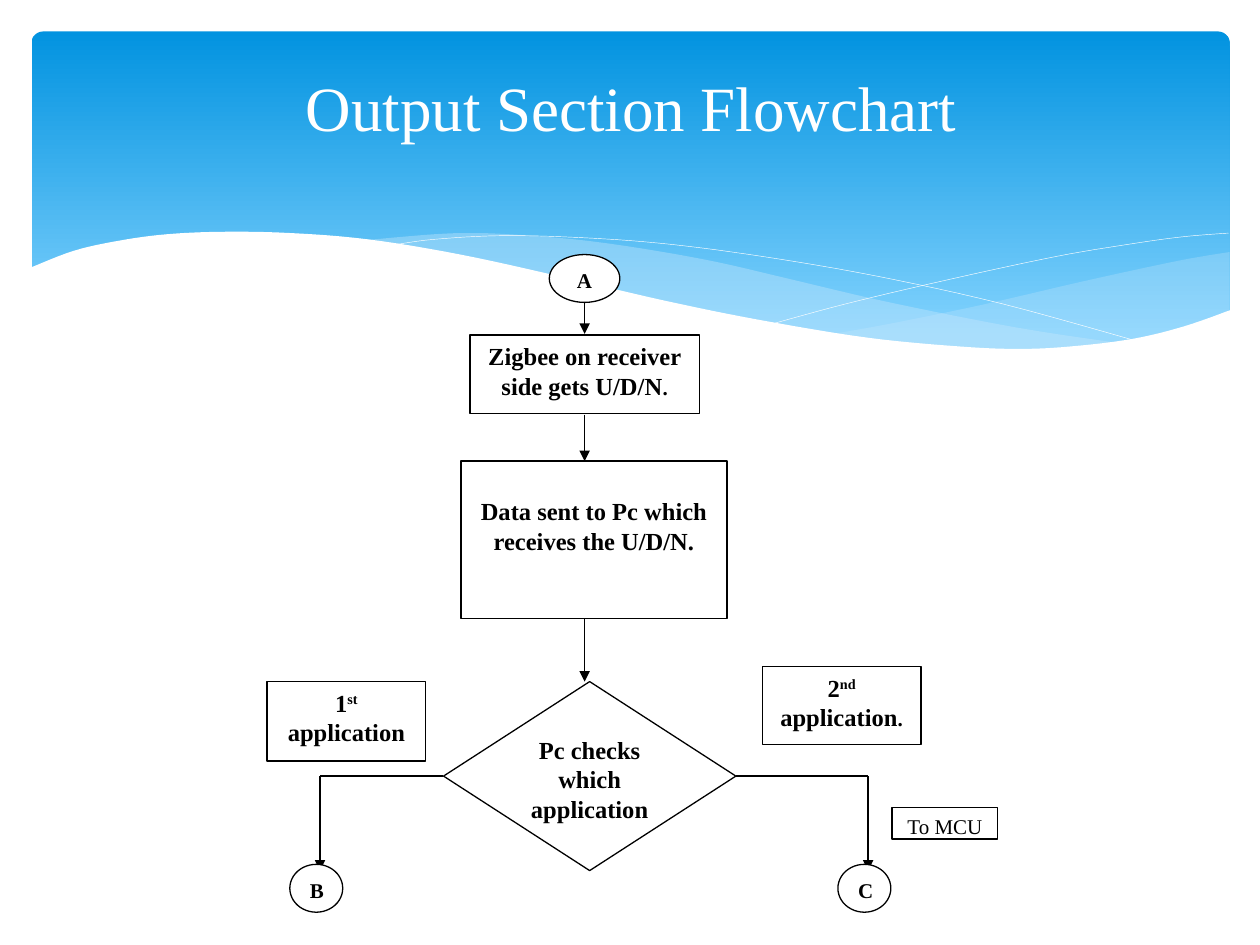
from lxml import etree
from pptx import Presentation
from pptx.dml.color import RGBColor
from pptx.enum.shapes import MSO_CONNECTOR, MSO_SHAPE
from pptx.enum.text import MSO_ANCHOR, PP_ALIGN
from pptx.oxml.ns import qn
from pptx.util import Inches, Pt

BLACK = RGBColor(0x00, 0x00, 0x00)
WHITE = RGBColor(0xFF, 0xFF, 0xFF)
SKY_TOP = RGBColor(0x02, 0x93, 0xE0)
SKY_BOTTOM = RGBColor(0x83, 0xD3, 0xFE)
PALE_BLUE = RGBColor(0xC6, 0xE7, 0xFC)
FONT = "Times New Roman"
STROKE = Pt(0.75)
HAIRLINE = Pt(0.25)

RECT = MSO_SHAPE.RECTANGLE
OVAL = MSO_SHAPE.OVAL
PROCESS = MSO_SHAPE.FLOWCHART_PROCESS
DECISION = MSO_SHAPE.FLOWCHART_DECISION
ROUNDED = MSO_SHAPE.ROUNDED_RECTANGLE
STRAIGHT = MSO_CONNECTOR.STRAIGHT
TOP, MIDDLE = MSO_ANCHOR.TOP, MSO_ANCHOR.MIDDLE
CENTER = PP_ALIGN.CENTER

TITLE = "Output Section Flowchart"

# Each band: smooth edges joined by straight sides, fill, opacity in percent
BANDS = [
    ([[(9.76, 2), (9.35, 2.07), (8.61, 2.23), (7.79, 2.42), (7.06, 2.57), (6.61, 2.65)],
      [(6.61, 2.65), (7.19, 2.72), (7.69, 2.77), (8.14, 2.78), (8.54, 2.76),
       (8.97, 2.7), (9.35, 2.62), (9.76, 2.47)]], PALE_BLUE, 29),
    ([[(8.93, 2.73), (8.07, 2.6), (7.06, 2.4), (6.29, 2.22), (5.69, 2.08), (5.14, 1.98),
       (4.65, 1.91), (4.2, 1.87), (3.8, 1.85), (3.44, 1.86), (2.86, 1.91)],
      [(2.86, 1.91), (3.62, 2.03), (4.49, 2.22), (5.3, 2.4), (6.01, 2.55), (6.65, 2.66),
       (7.22, 2.74), (7.73, 2.77), (8.18, 2.78), (8.57, 2.77), (8.93, 2.73)]], PALE_BLUE, 40),
]
THREADS = [
    [(3.09, 1.95), (3.44, 1.9), (4.01, 1.87), (4.69, 1.89), (5.33, 1.94), (6.08, 2.04),
     (6.95, 2.19), (7.95, 2.41), (9.07, 2.72)],
    [(6.13, 2.57), (6.72, 2.41), (7.48, 2.23), (8.36, 2.04), (8.95, 1.94), (9.38, 1.88),
     (9.75, 1.85)],
]
PAGE_WAVE = (
    [[(9.77, 2.46), (9.4, 2.59), (8.99, 2.69), (8.5, 2.75), (8.09, 2.77), (7.61, 2.75),
      (6.88, 2.68), (6.03, 2.54), (5.29, 2.39), (4.47, 2.2), (3.65, 2.02), (2.92, 1.9),
      (2.3, 1.85), (1.77, 1.84), (1.32, 1.86), (0.95, 1.91), (0.59, 1.99), (0.23, 2.13)],
     [(0.23, 3.29), (9.77, 3.29)]], WHITE, 100)

# Geometry, (left, top, width, height), text runs as (text, size, baseline), bold
STEPS = [
    (PROCESS, (3.66, 3.66, 2.11, 1.25),
     [("Data sent to Pc which receives the U/D/N.", 14, 0)], True),
    (RECT, (7.08, 6.41, 0.84, 0.25), [("To MCU", 12, 0)], False),
    (RECT, (3.73, 2.66, 1.82, 0.62),
     [("Zigbee on receiver side gets U/D/N", 14, 0), (".", 12, 0)], True),
    (DECISION, (3.52, 5.41, 2.32, 1.5), [("Pc checks which application", 14, 0)], True),
    (RECT, (2.12, 5.41, 1.26, 0.63),
     [("1", 14, 0), ("st", 14, 30), (" application", 14, 0)], True),
    (RECT, (6.05, 5.29, 1.26, 0.62),
     [("2", 14, 0), ("nd", 14, 30), (" application", 14, 0), (".", 12, 0)], True),
]
JUNCTIONS = [
    (OVAL, (4.36, 2.02, 0.56, 0.38), [("A", 12, 0)], True),
    (OVAL, (2.3, 6.86, 0.42, 0.38), [("B", 12, 0)], True),
    (OVAL, (6.65, 6.86, 0.42, 0.38), [("C", 12, 0)], True),
]
PROCESS_TEXT_DROP = 0.28

# Routes: the last leg carries the arrowhead
SPINE = 4.64
ROUTES = [
    [(SPINE, 2.4), (SPINE, 2.65)],
    [(SPINE, 3.29), (SPINE, 3.66)],
    [(SPINE, 4.91), (SPINE, 5.41)],
    [(3.52, 6.16), (2.54, 6.16), (2.54, 6.91)],
    [(5.84, 6.16), (6.89, 6.16), (6.89, 6.91)],
]


def smooth(knots, steps=6):
    """Return points on a Catmull-Rom curve through the knots."""
    if len(knots) < 3:
        return knots
    padded = [knots[0], *knots, knots[-1]]
    points = [knots[0]]
    for a, b, c, d in zip(padded, padded[1:], padded[2:], padded[3:]):
        for step in range(1, steps + 1):
            t = step / steps
            points.append(tuple(
                0.5 * (2 * q + (r - p) * t + (2 * p - 5 * q + 4 * r - s) * t ** 2
                       + (3 * q - p - 3 * r + s) * t ** 3)
                for p, q, r, s in zip(a, b, c, d)))
    return points


def add_outline(slide, edges, closed):
    """Draw a freeform along the smoothed edges."""
    points = [(Inches(x), Inches(y)) for edge in edges for x, y in smooth(edge)]
    builder = slide.shapes.build_freeform(*points[0])
    builder.add_line_segments(points[1:], close=closed)
    outline = builder.convert_to_shape()
    outline.shadow.inherit = False
    return outline


def add_band(slide, edges, color, opacity):
    """Draw a filled wave band without a border."""
    band = add_outline(slide, edges, True)
    band.fill.solid()
    band.fill.fore_color.rgb = color
    band.line.fill.background()
    if opacity < 100:
        tint = band.fill._xPr.find(qn("a:solidFill"))[0]
        etree.SubElement(tint, qn("a:alpha"), val=str(opacity * 1000))


def add_thread(slide, knots):
    """Draw a thin white curve."""
    thread = add_outline(slide, [knots], False)
    thread.fill.background()
    thread.line.color.rgb = WHITE
    thread.line.width = HAIRLINE


def add_banner(slide):
    """Draw the gradient header with its waves."""
    banner = slide.shapes.add_shape(ROUNDED, Inches(0.25), Inches(0.25),
                                    Inches(9.51), Inches(2.7))
    banner.adjustments[0] = 0.034
    banner.shadow.inherit = False
    banner.line.fill.background()
    banner.fill.gradient()
    banner.fill.gradient_angle = 270
    for stop, color, position in zip(banner.fill.gradient_stops,
                                     (SKY_TOP, SKY_BOTTOM), (0, 0.9)):
        stop.color.rgb = color
        stop.position = position
    for band in BANDS:
        add_band(slide, *band)
    for knots in THREADS:
        add_thread(slide, knots)
    add_band(slide, *PAGE_WAVE)


def write(frame, runs, color, bold, anchor):
    """Write centred runs into a text frame."""
    frame.word_wrap = True
    frame.vertical_anchor = anchor
    paragraph = frame.paragraphs[0]
    paragraph.alignment = CENTER
    for text, size, baseline in runs:
        run = paragraph.add_run()
        run.text = text
        run.font.name = FONT
        run.font.size = Pt(size)
        run.font.bold = bold
        run.font.color.rgb = color
        if baseline:
            run.font._element.set("baseline", str(baseline * 1000))


def add_step(slide, geometry, box, runs, bold):
    """Draw one white flowchart node with its text."""
    step = slide.shapes.add_shape(geometry, *map(Inches, box))
    step.shadow.inherit = False
    step.fill.solid()
    step.fill.fore_color.rgb = WHITE
    step.line.color.rgb = BLACK
    step.line.width = STROKE
    write(step.text_frame, runs, BLACK, bold, TOP)
    if geometry == PROCESS:
        step.text_frame.margin_top = Inches(PROCESS_TEXT_DROP)


def add_route(slide, stops):
    """Draw the straight legs of a route, ending in an arrowhead."""
    for start, end in zip(stops, stops[1:]):
        leg = slide.shapes.add_connector(STRAIGHT, *map(Inches, start + end))
        leg.line.color.rgb = BLACK
        leg.line.width = STROKE
        if end == stops[-1]:
            etree.SubElement(leg.line._get_or_add_ln(), qn("a:tailEnd"), type="triangle")
        etree.SubElement(leg._element.spPr, qn("a:effectLst"))


prs = Presentation()
prs.slide_width, prs.slide_height = Inches(10), Inches(7.5)
slide = prs.slides.add_slide(prs.slide_layouts[6])
add_banner(slide)
for step in STEPS:
    add_step(slide, *step)
for route in ROUTES:
    add_route(slide, route)
for junction in JUNCTIONS:
    add_step(slide, *junction)
title = slide.shapes.add_textbox(Inches(0.51), Inches(0.16), Inches(9), Inches(1.37))
write(title.text_frame, [(TITLE, 36, 0)], WHITE, False, MIDDLE)
prs.save("out.pptx")
